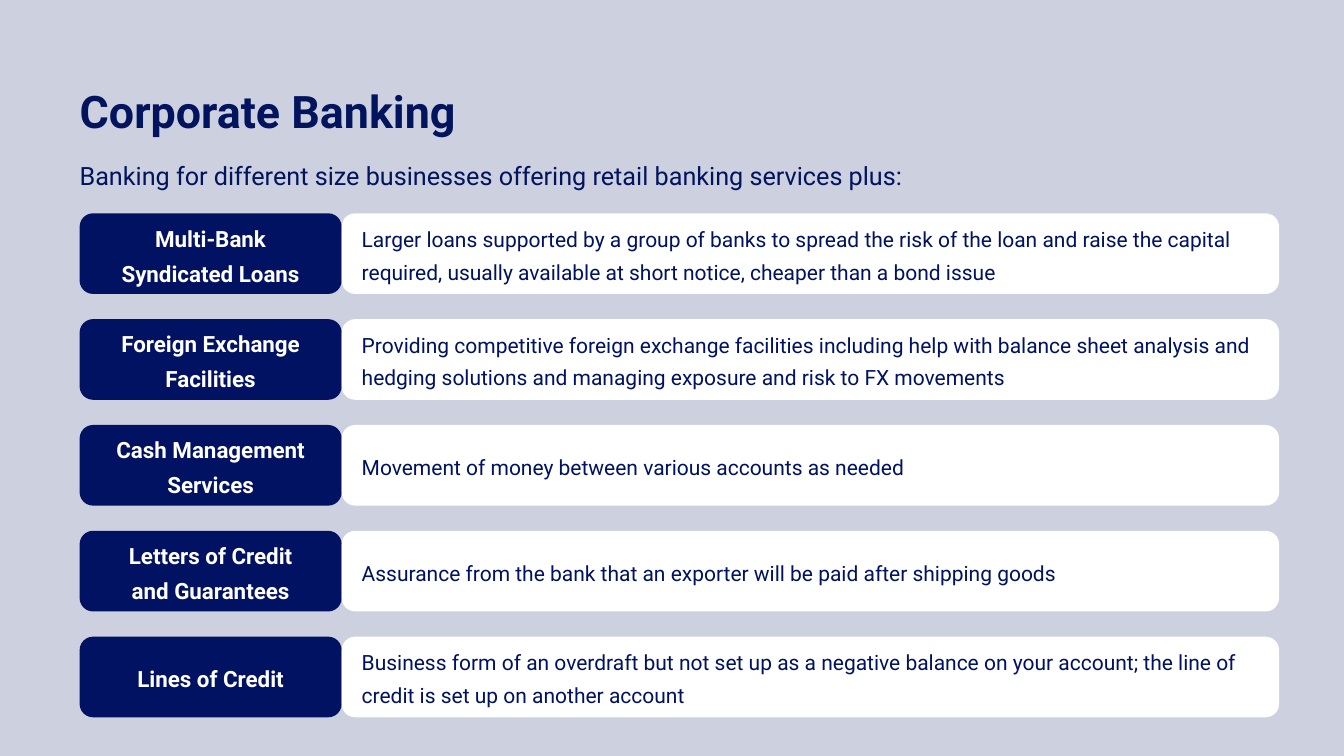
from pptx import Presentation
from pptx.dml.color import RGBColor
from pptx.enum import shapes, text
from pptx.util import Pt

# Content
TITLE = "Corporate Banking"
INTRO = "Banking for different size businesses offering retail banking services plus:"
SERVICES = [
    (["Multi-Bank Syndicated Loans"],
     "Larger loans supported by a group of banks to spread the risk of the loan "
     "and raise the capital required, usually available at short notice, "
     "cheaper than a bond issue"),
    (["Foreign Exchange Facilities"],
     "Providing competitive foreign exchange facilities including help with "
     "balance sheet analysis and hedging solutions and managing exposure and "
     "risk to FX movements"),
    (["Cash Management Services"],
     "Movement of money between various accounts as needed"),
    (["Letters of Credit", "and Guarantees"],
     "Assurance from the bank that an exporter will be paid after shipping goods"),
    (["Lines of Credit"],
     "Business form of an overdraft but not set up as a negative balance on your "
     "account; the line of credit is set up on another account"),
]

# Style
FONT = "Roboto"
BACKGROUND, HEADING, NAVY, WHITE = "CCD0DF", "02145E", "001261", "FFFFFF"

# Layout, in points
LEFT = 56.9
LABEL_WIDTH, DETAIL_WIDTH = 187.2, 669.6
FIRST_ROW, ROW_PITCH, ROW_HEIGHT = 152.4, 75.6, 57.6
CARD_INSETS = (11.5, 11.5, 11.5, 14.4)


def color(value):
    return RGBColor.from_string(value)


def write(box, lines, size, ink, bold=False, align=text.PP_ALIGN.LEFT,
          anchor=text.MSO_ANCHOR.TOP, spacing=1.08, insets=(0, 0, 0, 0)):
    frame = box.text_frame
    frame.word_wrap = True
    frame.vertical_anchor = anchor
    (frame.margin_left, frame.margin_top,
     frame.margin_right, frame.margin_bottom) = map(Pt, insets)
    for index, line in enumerate(lines):
        para = frame.add_paragraph() if index else frame.paragraphs[0]
        para.alignment = align
        para.line_spacing = spacing
        span = para.add_run()
        span.text = line
        span.font.name = FONT
        span.font.size = Pt(size)
        span.font.bold = bold
        span.font.color.rgb = color(ink)


def add_text(page, top, width, height, line, size, **style):
    box = page.shapes.add_textbox(Pt(LEFT), Pt(top), Pt(width), Pt(height))
    write(box, [line], size, HEADING, **style)


def add_card(page, left, top, width, fill, lines, size, ink, **style):
    card = page.shapes.add_shape(shapes.MSO_SHAPE.ROUNDED_RECTANGLE,
                                 Pt(left), Pt(top), Pt(width), Pt(ROW_HEIGHT))
    card.shadow.inherit = False
    card.fill.solid()
    card.fill.fore_color.rgb = color(fill)
    card.line.fill.background()
    write(card, lines, size, ink, anchor=text.MSO_ANCHOR.MIDDLE,
          spacing=1.3, insets=CARD_INSETS, **style)


def main():
    deck = Presentation()
    deck.slide_width, deck.slide_height = Pt(960), Pt(540)
    page = deck.slides.add_slide(deck.slide_layouts[6])
    page.background.fill.solid()
    page.background.fill.fore_color.rgb = color(BACKGROUND)

    # Heading and introduction
    add_text(page, 56.9, 627.8, 50, TITLE, 32, bold=True)
    add_text(page, 113, 846.7, 30, INTRO, 18)

    # One row per service: label and detail
    for row, (label, detail) in enumerate(SERVICES):
        top = FIRST_ROW + row * ROW_PITCH
        add_card(page, LEFT, top, LABEL_WIDTH, NAVY, label, 16, WHITE,
                 bold=True, align=text.PP_ALIGN.CENTER)
        add_card(page, LEFT + LABEL_WIDTH, top, DETAIL_WIDTH, WHITE,
                 [detail], 15, NAVY)

    deck.save("out.pptx")


if __name__ == "__main__":
    main()
